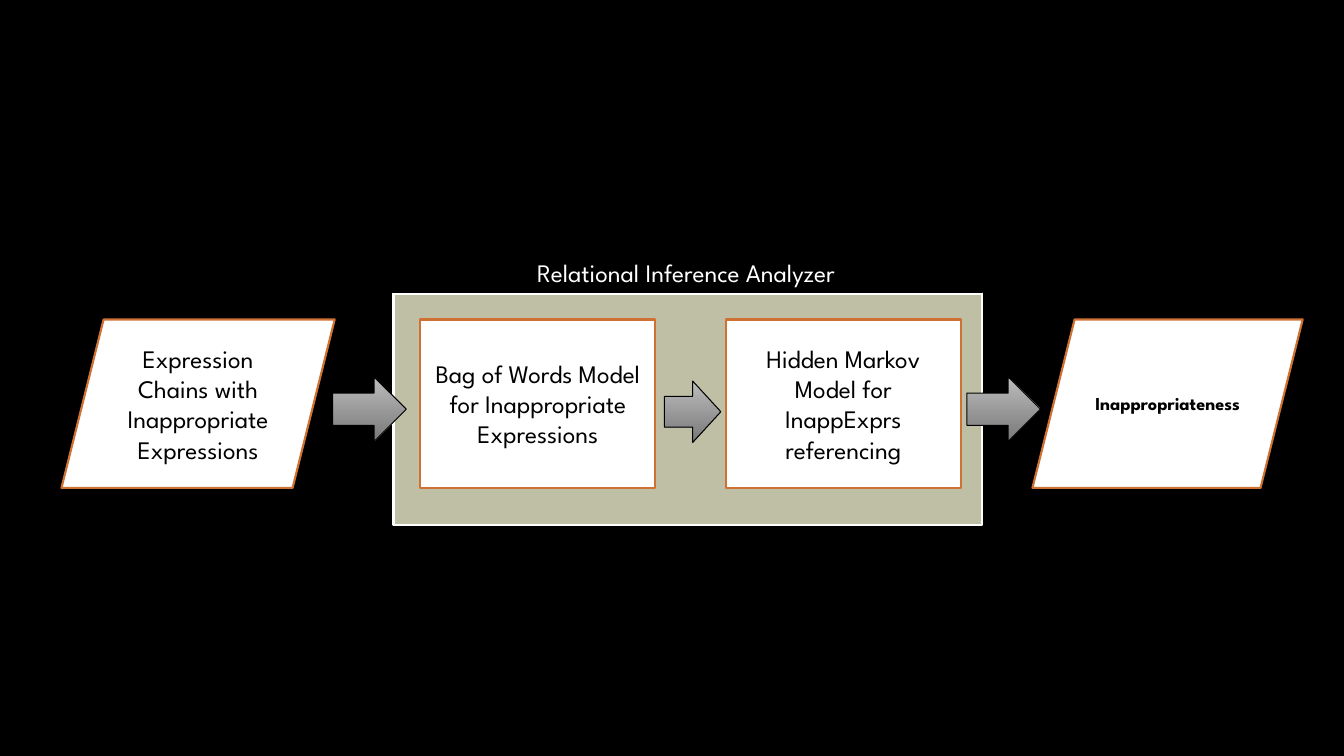
import pptx
import pptx.util
import pptx.dml.color
import pptx.enum.shapes
import pptx.enum.text

Inches = pptx.util.Inches
Pt = pptx.util.Pt
RGBColor = pptx.dml.color.RGBColor
Kind = pptx.enum.shapes.MSO_SHAPE

BLACK = RGBColor(0x00, 0x00, 0x00)
WHITE = RGBColor(0xFF, 0xFF, 0xFF)
SAGE = RGBColor(0xBF, 0xBF, 0xA5)
ORANGE = RGBColor(0xCF, 0x71, 0x33)
SILVER = RGBColor(0xBC, 0xBC, 0xBC)
GRAY = RGBColor(0x79, 0x79, 0x79)
FONT = "League Spartan"

deck = pptx.Presentation()
deck.slide_width = Inches(13.33)
deck.slide_height = Inches(7.5)
slide = deck.slides.add_slide(deck.slide_layouts[6])
slide.background.fill.solid()
slide.background.fill.fore_color.rgb = BLACK


def add_box(kind, left, top, width, height, fill, line, weight):
    box = slide.shapes.add_shape(
        kind, Inches(left), Inches(top), Inches(width), Inches(height))
    box.shadow.inherit = False
    box.fill.solid()
    box.fill.fore_color.rgb = fill
    box.line.color.rgb = line
    box.line.width = Pt(weight)
    return box


def add_text(box, text, size, color, bold=False):
    frame = box.text_frame
    frame.word_wrap = True
    frame.vertical_anchor = pptx.enum.text.MSO_ANCHOR.MIDDLE
    para = frame.paragraphs[0]
    para.alignment = pptx.enum.text.PP_ALIGN.CENTER
    run = para.add_run()
    run.text = text
    run.font.name = FONT
    run.font.size = Pt(size)
    run.font.bold = bold
    run.font.color.rgb = color


add_box(Kind.RECTANGLE, 3.9, 2.91, 5.84, 2.3, SAGE, WHITE, 2)

steps = [
    (Kind.PARALLELOGRAM, 0.61, 2.71,
     "Expression Chains with Inappropriate Expressions", 18, False),
    (Kind.RECTANGLE, 4.17, 2.33,
     "Bag of Words Model for Inappropriate Expressions", 18, False),
    (Kind.RECTANGLE, 7.2, 2.33,
     "Hidden Markov Model for InappExprs referencing", 18, False),
    (Kind.PARALLELOGRAM, 10.24, 2.68, "Inappropriateness", 13, True),
]
for kind, left, width, text, size, bold in steps:
    step = add_box(kind, left, 3.17, width, 1.67, WHITE, ORANGE, 1.5)
    add_text(step, text, size, BLACK, bold)

arrows = [
    (3.3, 3.74, 0.73, 0.64),
    (9.59, 3.74, 0.73, 0.64),
    (6.59, 3.78, 0.56, 0.61),
]
for left, top, width, height in arrows:
    arrow = add_box(Kind.RIGHT_ARROW, left, top, width, height, GRAY, BLACK, 0.75)
    arrow.fill.gradient()
    arrow.fill.gradient_angle = 270
    for stop, color in zip(arrow.fill.gradient_stops, (SILVER, GRAY)):
        stop.color.rgb = color

label = add_box(Kind.RECTANGLE, 3.87, 2.5, 5.87, 0.4, BLACK, BLACK, 1.5)
add_text(label, "Relational Inference Analyzer", 18, WHITE)

deck.save("out.pptx")
